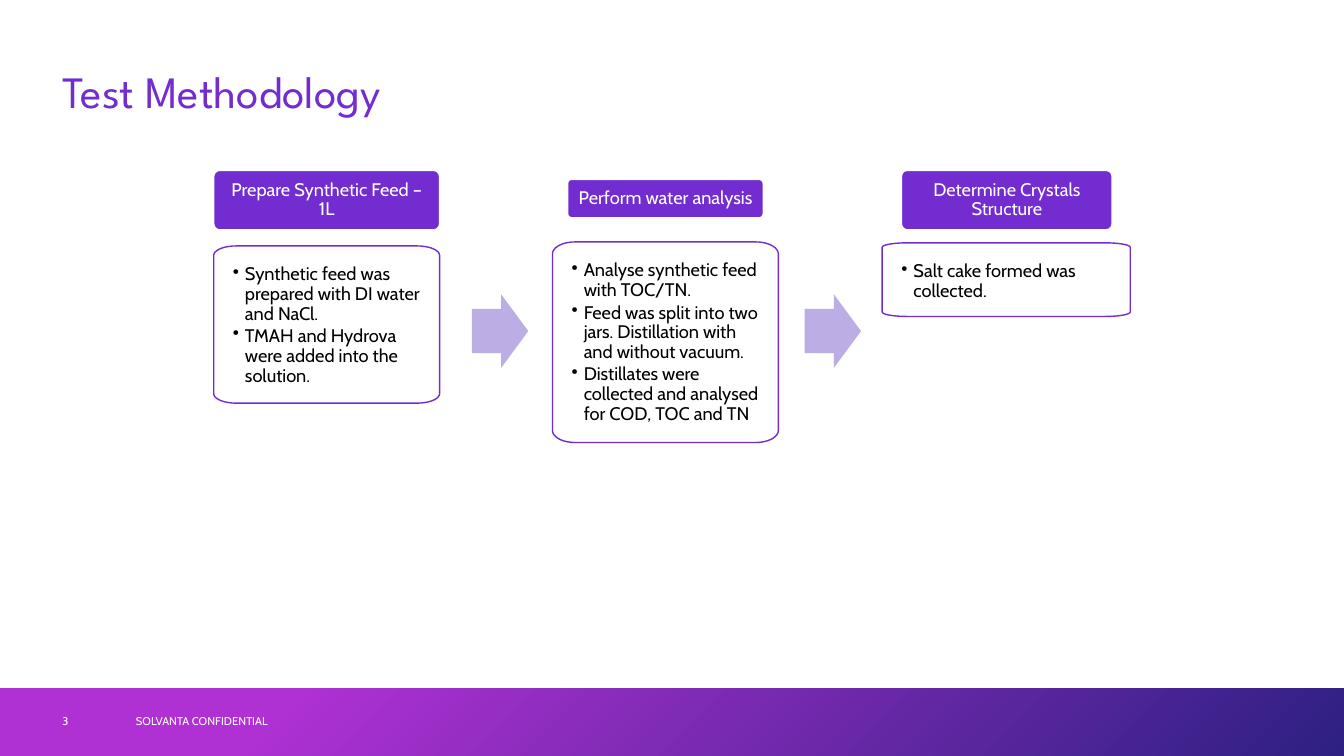
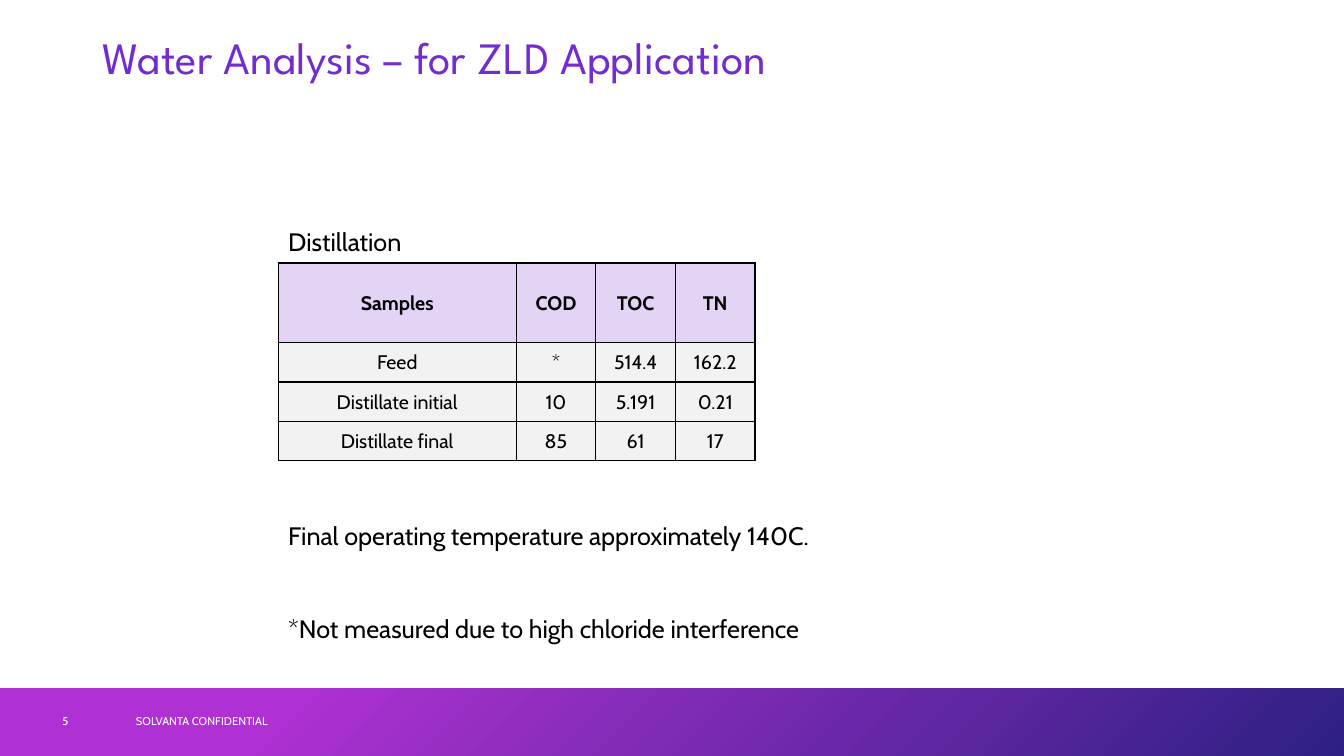
from math import cos, radians, sin

from lxml import etree
from pptx import Presentation
from pptx.dml.color import RGBColor
from pptx.enum.shapes import MSO_SHAPE
from pptx.enum.text import MSO_ANCHOR, PP_ALIGN
from pptx.oxml.ns import qn
from pptx.util import Inches, Pt

PURPLE = RGBColor(0x72, 0x2C, 0xCF)
LILAC = RGBColor(0xBC, 0xAD, 0xE4)
PALE_LILAC = RGBColor(0xE3, 0xD4, 0xF6)
PALE_GREY = RGBColor(0xF2, 0xF2, 0xF2)
MAGENTA = RGBColor(0xAF, 0x31, 0xD3)
NAVY = RGBColor(0x2D, 0x20, 0x82)
WHITE = RGBColor(0xFF, 0xFF, 0xFF)
BLACK = RGBColor(0, 0, 0)
TITLE_FONT = "League Spartan"
BODY_FONT = "Cabin"

prs = Presentation()
prs.slide_width, prs.slide_height = Inches(13.33), Inches(7.5)


def write(frame, lines, size, colour, font=BODY_FONT, align=PP_ALIGN.LEFT, spacing=1.0):
    """Fill a text frame with one paragraph for each line."""
    frame.text = "\n".join(lines)
    for paragraph in frame.paragraphs:
        paragraph.alignment = align
        paragraph.line_spacing = spacing
        for run in paragraph.runs:
            run.font.size = Pt(size)
            run.font.name = font
            run.font.color.rgb = colour


def start_slide(title, title_left, title_top, number):
    """Add a slide with its title, gradient band and footer."""
    slide = prs.slides.add_slide(prs.slide_layouts[6])
    band = slide.shapes.add_shape(
        MSO_SHAPE.RECTANGLE, 0, Inches(6.83), prs.slide_width, Inches(0.67))
    band.shadow.inherit = False
    band.line.fill.background()
    band.fill.gradient()
    band.fill.gradient_angle = 315
    for stop, position, colour in zip(
            band.fill.gradient_stops, (0.21, 1), (MAGENTA, NAVY)):
        stop.position = position
        stop.color.rgb = colour

    for text, left, top, width, height, size, colour, font, spacing in (
        (title, title_left, title_top, 11.5, 0.67, 32, PURPLE, TITLE_FONT, 0.9),
        (number, 0.52, 6.95, 0.72, 0.4, 8, WHITE, BODY_FONT, 1.0),
        ("SOLVANTA CONFIDENTIAL", 1.25, 6.95, 4.5, 0.4, 8, WHITE, BODY_FONT, 1.0),
    ):
        frame = slide.shapes.add_textbox(
            Inches(left), Inches(top), Inches(width), Inches(height)).text_frame
        frame.word_wrap = True
        frame.vertical_anchor = MSO_ANCHOR.MIDDLE
        write(frame, [text], size, colour, font, spacing=spacing)
    return slide


# Test methodology: three steps joined by arrows
slide = start_slide("Test Methodology", 0.52, 0.6, "3")

steps = [
    ("Prepare Synthetic Feed – 1L", (2.12, 1.69, 2.24, 0.59), (2.12, 2.44, 2.24, 1.56),
     ["Synthetic feed was prepared with DI water and NaCl.",
      "TMAH and Hydrova were added into the solution."]),
    ("Perform water analysis", (5.63, 1.78, 1.94, 0.38), (5.48, 2.4, 2.24, 1.99),
     ["Analyse synthetic feed with TOC/TN.",
      "Feed was split into two jars. Distillation with and without vacuum.",
      "Distillates were collected and analysed for COD, TOC and TN"]),
    ("Determine Crystals Structure", (8.94, 1.69, 2.09, 0.59), (8.75, 2.41, 2.46, 0.73),
     ["Salt cake formed was collected."]),
]
for heading, heading_box, card_box, details in steps:
    header = slide.shapes.add_shape(
        MSO_SHAPE.ROUNDED_RECTANGLE, *(Inches(length) for length in heading_box))
    header.adjustments[0] = 0.1
    header.shadow.inherit = False
    header.fill.solid()
    header.fill.fore_color.rgb = PURPLE
    header.line.color.rgb = WHITE
    header.line.width = Pt(1)
    frame = header.text_frame
    frame.margin_left = frame.margin_right = Inches(0.07)
    write(frame, [heading], 13, WHITE, align=PP_ALIGN.CENTER, spacing=0.9)

    # The card's corners are quarter ellipses, in proportion to its sides
    left, top, width, height = card_box
    radius_x, radius_y = 0.1 * width, 0.06 * height
    outline = []
    for quarter in range(4):
        centre_x = left + (radius_x if quarter in (1, 2) else width - radius_x)
        centre_y = top + (height - radius_y if quarter < 2 else radius_y)
        for degrees in range(90 * quarter, 90 * quarter + 91, 10):
            angle = radians(degrees)
            outline.append((Inches(centre_x + radius_x * cos(angle)),
                            Inches(centre_y + radius_y * sin(angle))))
    builder = slide.shapes.build_freeform(*outline[0])
    builder.add_line_segments(outline[1:], close=True)
    card = builder.convert_to_shape()
    card.shadow.inherit = False
    card.fill.solid()
    card.fill.fore_color.rgb = WHITE
    card.line.color.rgb = PURPLE
    card.line.width = Pt(1)
    frame = card.text_frame
    frame.word_wrap = True
    frame.vertical_anchor = MSO_ANCHOR.TOP
    frame.margin_left = frame.margin_right = Inches(0.19)
    frame.margin_top = frame.margin_bottom = Inches(0.19)
    write(frame, details, 13, BLACK, spacing=0.9)
    for paragraph in frame.paragraphs:
        paragraph.space_after = Pt(2)
        properties = paragraph._p.get_or_add_pPr()
        properties.set("marL", str(Inches(0.12)))
        properties.set("indent", str(-Inches(0.12)))
        etree.SubElement(properties, qn("a:buChar")).set("char", "•")

for arrow_left in (4.68, 7.98):
    arrow = slide.shapes.add_shape(
        MSO_SHAPE.RIGHT_ARROW, Inches(arrow_left), Inches(2.92), Inches(0.56), Inches(0.73))
    arrow.adjustments[0] = 0.6
    arrow.adjustments[1] = 0.48
    arrow.shadow.inherit = False
    arrow.fill.solid()
    arrow.fill.fore_color.rgb = LILAC
    arrow.line.fill.background()

# Water analysis: distillation results
slide = start_slide("Water Analysis – for ZLD Application", 0.92, 0.26, "5")

results = [
    ("Samples", "COD", "TOC", "TN"),
    ("Feed", "*", "514.4", "162.2"),
    ("Distillate initial", "10", "5.191", "0.21"),
    ("Distillate final", "85", "61", "17"),
]
table = slide.shapes.add_table(
    len(results), len(results[0]), Inches(2.76), Inches(2.61), Inches(4.72), Inches(1.97)).table
for column, width in zip(table.columns, (2.36, 0.79, 0.79, 0.79)):
    column.width = Inches(width)
for row, height in zip(table.rows, (0.79, 0.39, 0.39, 0.39)):
    row.height = Inches(height)

for row_index, values in enumerate(results):
    is_header = row_index == 0
    for column_index, value in enumerate(values):
        cell = table.cell(row_index, column_index)
        cell.vertical_anchor = MSO_ANCHOR.MIDDLE
        cell.margin_left = cell.margin_right = cell.margin_top = Inches(0.01)
        cell.margin_bottom = 0
        write(cell.text_frame, [value], 14, BLACK, align=PP_ALIGN.CENTER)
        cell.text_frame.paragraphs[0].runs[0].font.bold = is_header
        for side in ("lnL", "lnR", "lnT", "lnB"):
            border = etree.SubElement(cell._tc.get_or_add_tcPr(), qn("a:" + side))
            border.set("w", str(Pt(1)))
            paint = etree.SubElement(border, qn("a:solidFill"))
            etree.SubElement(paint, qn("a:srgbClr")).set("val", str(BLACK))
        cell.fill.solid()
        cell.fill.fore_color.rgb = PALE_LILAC if is_header else PALE_GREY

for remark, top, width in (
    ("Distillation", 2.2, 1.35),
    ("Final operating temperature approximately 140C.", 5.11, 5.39),
    ("*Not measured due to high chloride interference", 6.04, 5.29),
):
    frame = slide.shapes.add_textbox(
        Inches(2.76), Inches(top), Inches(width), Inches(0.4)).text_frame
    frame.word_wrap = False
    write(frame, [remark], 18, BLACK)

prs.save("out.pptx")
